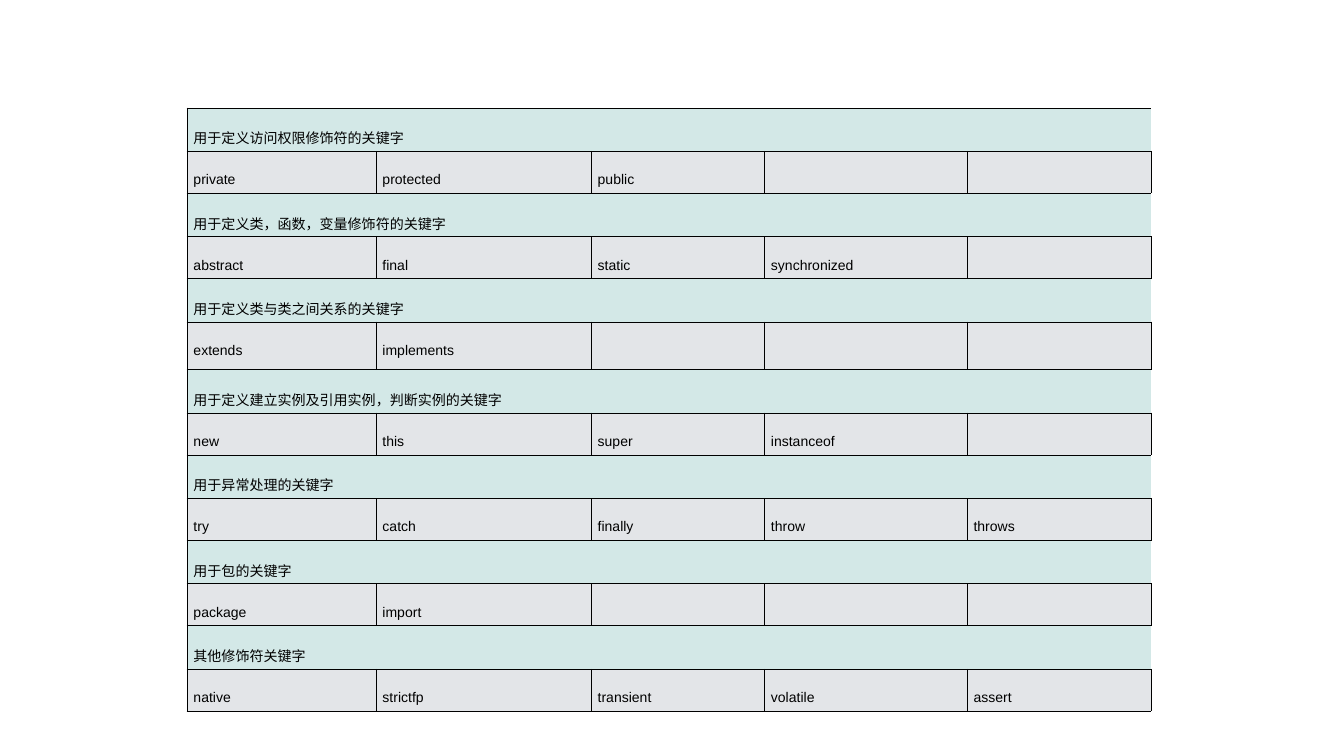
"""Build a slide with a table of Java keywords grouped by use."""
from dataclasses import dataclass

from pptx import Presentation
from pptx.dml.color import RGBColor
from pptx.enum.text import MSO_ANCHOR, PP_ALIGN
from pptx.oxml.ns import qn
from pptx.table import Table, _Cell
from pptx.util import Pt
from lxml import etree

TOP = MSO_ANCHOR.TOP
LEFT = PP_ALIGN.LEFT
BLACK, MINT, GREY = "000000", "D3E8E7", "E3E5E8"
WIDTHS = (270, 307.5, 247.5, 289.5, 263)


@dataclass
class Group:
    title: str
    words: tuple[str, ...]
    head: float = 60
    body: float = 60


GROUPS = (
    Group("用于定义访问权限修饰符的关键字", ("private", "protected", "public")),
    Group("用于定义类，函数，变量修饰符的关键字",
          ("abstract", "final", "static", "synchronized")),
    Group("用于定义类与类之间关系的关键字", ("extends", "implements"), body=68),
    Group("用于定义建立实例及引用实例，判断实例的关键字",
          ("new", "this", "super", "instanceof"), head=52),
    Group("用于异常处理的关键字", ("try", "catch", "finally", "throw", "throws")),
    Group("用于包的关键字", ("package", "import")),
    Group("其他修饰符关键字",
          ("native", "strictfp", "transient", "volatile", "assert")),
)


def color(code: str) -> RGBColor:
    return RGBColor.from_string(code)


def write(cell: _Cell, text: str, *, font: str, lead: float,
          size: float = 20, ink: str = BLACK) -> None:
    cell.margin_left = cell.margin_right = Pt(9.4)
    cell.margin_top = cell.margin_bottom = Pt(5)
    cell.vertical_anchor = TOP
    para = cell.text_frame.paragraphs[0]
    para.alignment = LEFT
    para.line_spacing = Pt(lead)
    run = para.add_run()
    run.text = text
    run.font.name = font
    run.font.size = Pt(size)
    run.font.bold = False
    run.font.color.rgb = color(ink)
    etree.SubElement(run.font._element, qn("a:ea"), typeface=font)


def style(cell: _Cell, fill: str, sides: str) -> None:
    props = cell._tc.get_or_add_tcPr()
    for side in "LRTB":
        line = etree.SubElement(props, qn(f"a:ln{side}"), w=str(Pt(1)))
        if side in sides:
            paint = etree.SubElement(line, qn("a:solidFill"))
            etree.SubElement(paint, qn("a:srgbClr"), val=BLACK)
        else:
            etree.SubElement(line, qn("a:noFill"))
    cell.fill.solid()
    cell.fill.fore_color.rgb = color(fill)


def draw(table: Table, row: int, group: Group) -> None:
    table.rows[row].height = Pt(group.head)
    table.rows[row + 1].height = Pt(group.body)
    last = len(WIDTHS) - 1
    for col in range(last + 1):
        style(table.cell(row, col), MINT, "TB" if col else "LTB")
        style(table.cell(row + 1, col), GREY, "LRTB")
    title = table.cell(row, 0)
    title.merge(table.cell(row, last))
    write(title, group.title, font="Noto Sans CJK SC", lead=52)
    for col, word in enumerate(group.words):
        write(table.cell(row + 1, col), word, font="Arial", lead=47)


def main() -> None:
    deck = Presentation()
    deck.slide_width, deck.slide_height = Pt(1920), Pt(1080)
    slide = deck.slides.add_slide(deck.slide_layouts[6])
    high = sum(group.head + group.body for group in GROUPS)
    frame = slide.shapes.add_table(
        2 * len(GROUPS), len(WIDTHS),
        Pt(267), Pt(154), Pt(sum(WIDTHS)), Pt(high))
    table = frame.table
    table.first_row = table.horz_banding = False
    for col, width in zip(table.columns, WIDTHS):
        col.width = Pt(width)
    for num, group in enumerate(GROUPS):
        draw(table, 2 * num, group)
    deck.save("out.pptx")


if __name__ == "__main__":
    main()
